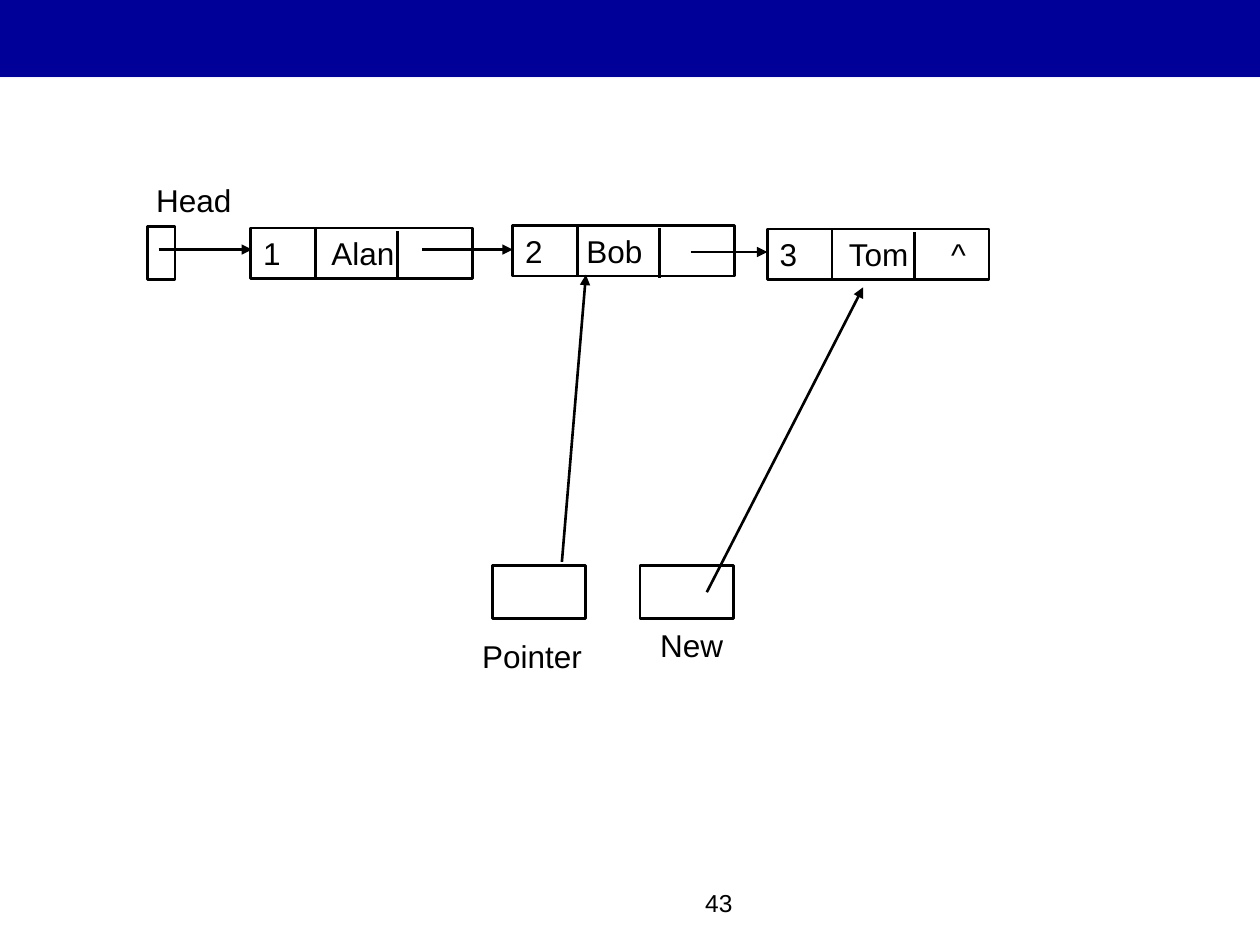
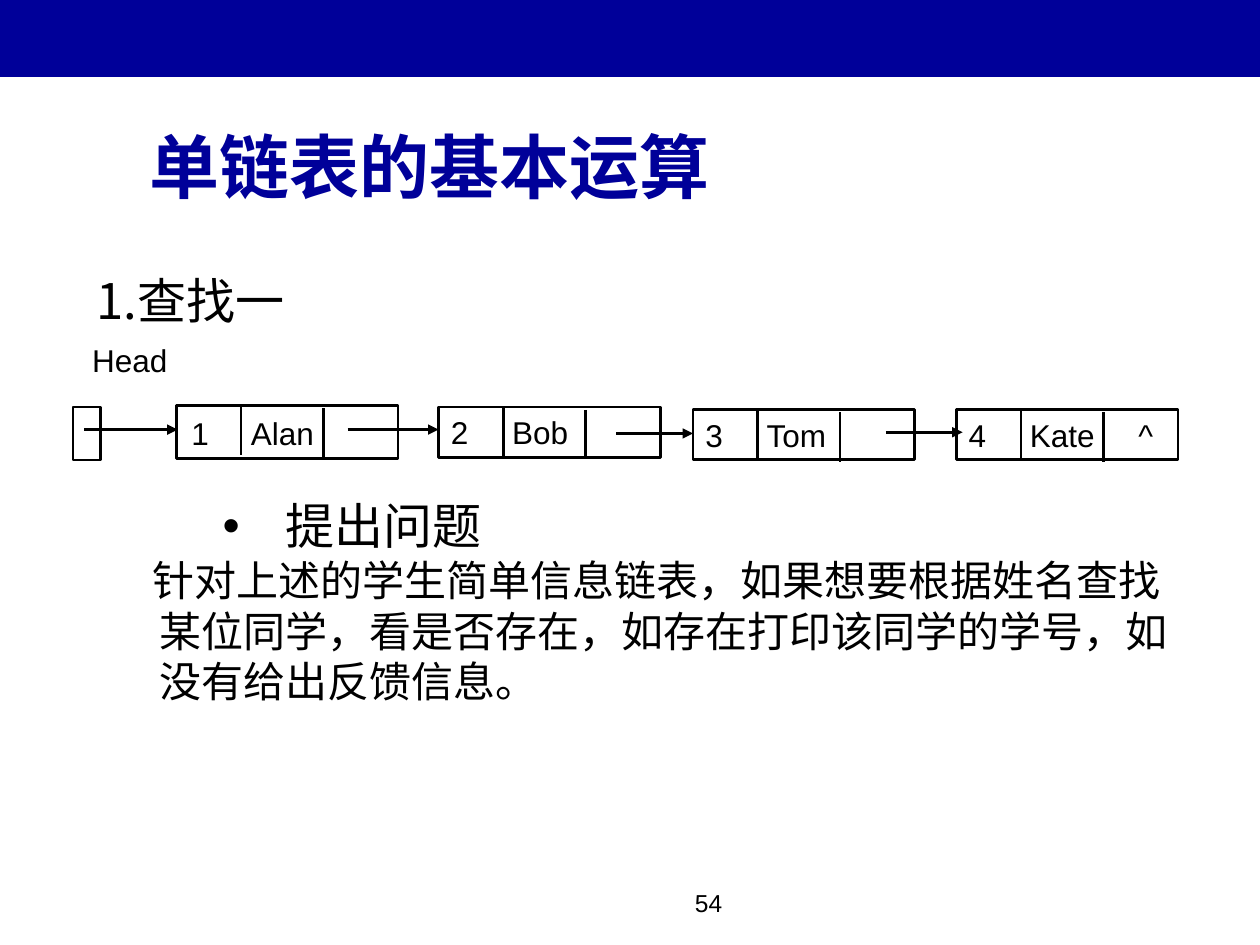
from pptx import Presentation
from pptx.dml.color import RGBColor
from pptx.enum.shapes import MSO_CONNECTOR, MSO_SHAPE
from pptx.enum.text import MSO_ANCHOR, PP_ALIGN
from pptx.oxml.ns import qn
from pptx.util import Pt
from lxml import etree

NAVY = RGBColor(0x00, 0x00, 0x99)
BLACK = RGBColor(0x00, 0x00, 0x00)
LATIN = "Arial"
CHINESE = "Noto Sans CJK SC"
RECT = MSO_SHAPE.RECTANGLE
STRAIGHT = MSO_CONNECTOR.STRAIGHT
LEFT, CENTER, RIGHT = PP_ALIGN.LEFT, PP_ALIGN.CENTER, PP_ALIGN.RIGHT
TOP, MIDDLE = MSO_ANCHOR.TOP, MSO_ANCHOR.MIDDLE

NODE_WIDTH, NODE_HEIGHT = 126.7, 28.8
POINTER_HEIGHT = 30.2
LINE_WIDTH = 1.5


def add_box(slide, area, text="", size=18, font=LATIN, color=BLACK, bold=False,
            align=LEFT, anchor=TOP, outlined=False):
    """Add an outlined rectangle or a plain text box with one run; return it."""
    area = [Pt(length) for length in area]
    if outlined:
        box = slide.shapes.add_shape(RECT, *area)
        box.shadow.inherit = False
        box.fill.background()
        box.line.color.rgb = BLACK
        box.line.width = Pt(LINE_WIDTH)
    else:
        box = slide.shapes.add_textbox(*area)
    frame = box.text_frame
    frame.word_wrap = True
    frame.vertical_anchor = anchor
    paragraph = frame.paragraphs[0]
    paragraph.alignment = align
    if text:
        run = paragraph.add_run()
        run.text = text
        run.font.size = Pt(size)
        run.font.bold = bold
        run.font.color.rgb = color
        run.font.name = font
        etree.SubElement(run.font._element, qn("a:ea"), typeface=font)
    return box


def add_line(slide, ends, arrow=False):
    line = slide.shapes.add_connector(STRAIGHT, *[Pt(length) for length in ends])
    line.line.color.rgb = BLACK
    line.line.width = Pt(LINE_WIDTH)
    if arrow:
        etree.SubElement(line.line._get_or_add_ln(), qn("a:tailEnd"), type="triangle")
    etree.SubElement(line._element.spPr, qn("a:effectLst"))


# Nodes: left, top, extra depth, text, tab stops of name and end mark
# Arrows: x1, y1, x2, y2
LISTS = [
    {
        "page": "43", "page_left": 275.8,
        "head_label": (82, 100.1), "head": (84.2, 129.6),
        "nodes": [
            (143.3, 130.3, 0, "1\tAlan", (39, 98)),
            (293, 128.9, 0, "2\tBob", (35, 98)),
            (438.5, 131, 0, "3\tTom\t^", (39.5, 98)),
        ],
        "arrows": [
            (90.7, 142.6, 144, 142.6),
            (241.2, 142.6, 293, 142.6),
            (394.6, 144, 438.5, 144),
            (403.9, 338.4, 493.2, 164.2),
            (321.1, 321.1, 334.8, 157),
        ],
    },
    {
        "page": "54", "page_left": 270,
        "head_label": (45.4, 191.5), "head": (41.8, 232.6),
        "nodes": [
            (100.8, 231.8, 1.4, "1\tAlan", (34, 97)),
            (250.6, 232.6, 0, "2\tBob", (35, 97)),
            (396, 234, 0, "3\tTom", (35, 97)),
            (546.5, 234, 0, "4\tKate\t^", (35, 97)),
        ],
        "arrows": [
            (48.2, 245.5, 101.5, 245.5),
            (198.7, 245.5, 250.6, 245.5),
            (352.1, 247.7, 396, 247.7),
            (506.2, 247, 550.1, 247),
        ],
    },
]

prs = Presentation()
prs.slide_width, prs.slide_height = Pt(720), Pt(540)
slides = []

for linked_list in LISTS:
    slide = prs.slides.add_slide(prs.slide_layouts[6])
    slides.append(slide)
    band = slide.shapes.add_shape(RECT, Pt(0), Pt(0), Pt(720), Pt(43.9))
    band.shadow.inherit = False
    band.fill.solid()
    band.fill.fore_color.rgb = NAVY
    band.line.fill.background()
    add_box(slide, (linked_list["page_left"], 504, 149.8, 36), linked_list["page"],
            size=14, align=RIGHT)

    add_box(slide, (*linked_list["head_label"], 57.6, 28.8), "Head", align=CENTER)
    add_box(slide, (*linked_list["head"], 15.8, POINTER_HEIGHT), outlined=True)
    for left, top, extra, text, stops in linked_list["nodes"]:
        node = add_box(slide, (left, top, NODE_WIDTH, NODE_HEIGHT + extra), text, outlined=True)
        node.text_frame.margin_left = Pt(7.2 + extra)
        node.text_frame.margin_top = Pt(3.6 + extra)
        properties = node.text_frame.paragraphs[0]._p.get_or_add_pPr()
        tabs = etree.SubElement(properties, qn("a:tabLst"))
        for stop in stops:
            etree.SubElement(tabs, qn("a:tab"), pos=str(Pt(stop)), algn="l")
        for across, down in ((37, 0), (84, 1.6)):
            add_line(slide, (left + across, top + down, left + across, top + down + 28.2))
    for ends in linked_list["arrows"]:
        add_line(slide, ends, arrow=True)

insertion, search = slides

# Pointer variables below the list
for label, label_left, label_top, label_width, box_left in (
    ("Pointer", 261, 360.7, 86, 281.5),
    ("New", 370, 354.2, 50.4, 365.8),
):
    add_box(insertion, (label_left, label_top, label_width, 28.8), label, align=CENTER)
    add_box(insertion, (box_left, 323.3, 53.3, POINTER_HEIGHT), outlined=True)

# Search problem around the list
add_box(search, (-36.7, 49, 564.5, 91.4), "单链表的基本运算", size=40, font=CHINESE,
        color=NAVY, bold=True, align=CENTER, anchor=MIDDLE)
body = add_box(search, (48.2, 151.2, 635, 265), "1.查找一", size=28, font=CHINESE)
for text, size, margin, indent, gap, bullet in (
    ("提出问题", 28, 108, -36, 95, "•"),
    ("针对上述的学生简单信息链表，如果想要根据姓名查找某位同学，看是否存在，"
     "如存在打印该同学的学号，如没有给出反馈信息。", 24, 36, -4, 0, None),
):
    paragraph = body.text_frame.add_paragraph()
    paragraph.space_before = Pt(gap)
    properties = paragraph._p.get_or_add_pPr()
    properties.set("marL", str(Pt(margin)))
    properties.set("indent", str(Pt(indent)))
    if bullet:
        etree.SubElement(properties, qn("a:buFont"), typeface=LATIN)
        etree.SubElement(properties, qn("a:buChar"), char=bullet)
    run = paragraph.add_run()
    run.text = text
    run.font.size = Pt(size)
    run.font.color.rgb = BLACK
    run.font.name = CHINESE
    etree.SubElement(run.font._element, qn("a:ea"), typeface=CHINESE)

prs.save("out.pptx")
